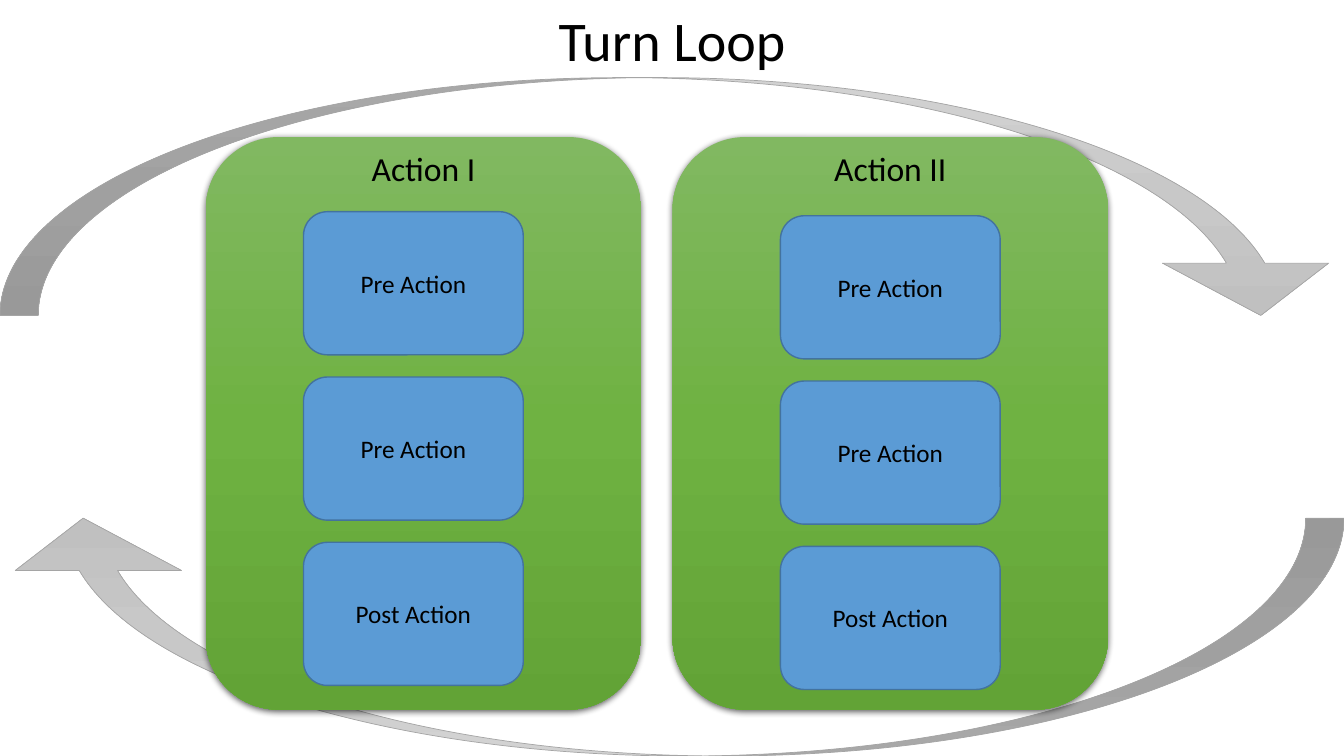
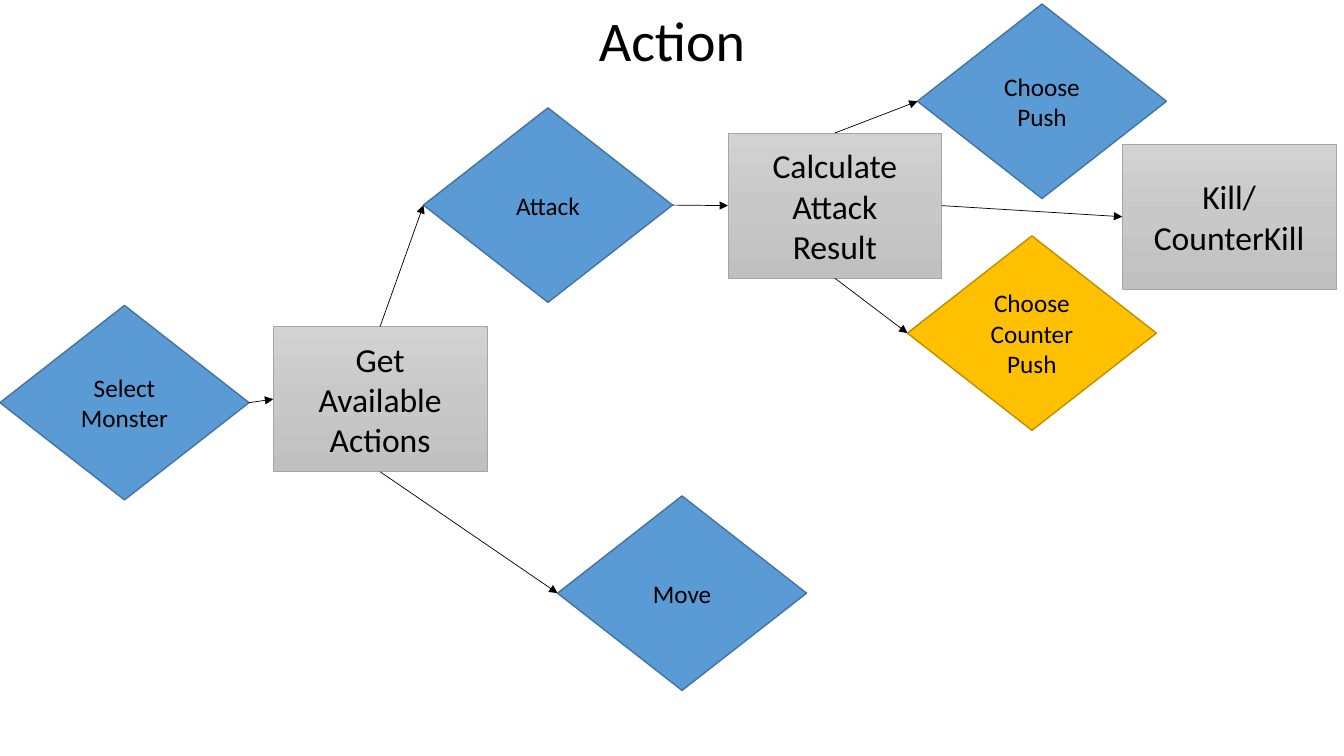
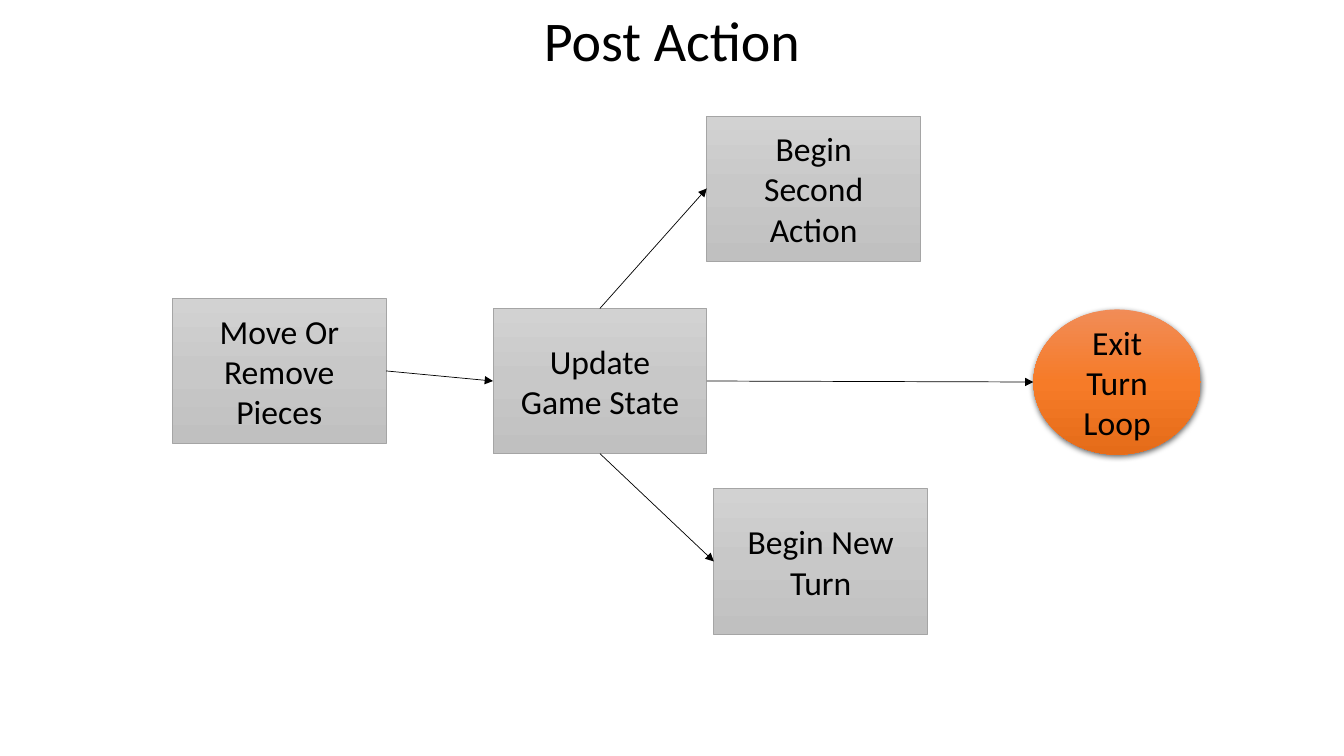
from copy import deepcopy
from dataclasses import dataclass
from typing import Optional

from lxml import etree
from pptx import Presentation
from pptx.dml.color import RGBColor
from pptx.enum import shapes as kinds, text as styles
from pptx.oxml.ns import qn
from pptx.util import Inches, Pt

# Shared look
FONT = "Calibri"
BLACK = RGBColor(0x00, 0x00, 0x00)
BLUE = RGBColor(0x5B, 0x9B, 0xD5)
NAVY = RGBColor(0x43, 0x73, 0x9E)
GOLD = RGBColor(0xFF, 0xC0, 0x00)
BROWN = RGBColor(0xBD, 0x8E, 0x00)
GREY = RGBColor(0xA5, 0xA5, 0xA5)
SILVER = (RGBColor(0xD2, 0xD2, 0xD2), RGBColor(0xC8, 0xC8, 0xC8), RGBColor(0xC0, 0xC0, 0xC0))
GREEN = (RGBColor(0x81, 0xB8, 0x61), RGBColor(0x6F, 0xB2, 0x42), RGBColor(0x62, 0xA3, 0x36))
ORANGE = (RGBColor(0xF1, 0x8C, 0x57), RGBColor(0xF6, 0x7B, 0x28), RGBColor(0xE5, 0x6C, 0x19))

FORM = kinds.MSO_SHAPE
WIDE, HIGH = 13.33, 7.5
TOP, BOTTOM, RIGHT = 0, 2, 3  # connection sites of boxes and diamonds


@dataclass(frozen=True)
class Look:
    form: FORM
    wide: float
    high: float
    fill: tuple
    edge: Optional[RGBColor] = None
    weight: float = 1
    size: int = 18
    inset: tuple = (0.1, 0.05)
    shade: bool = False
    left: int = 1  # connection site on the left side


@dataclass(frozen=True)
class Node:
    label: str
    x: float
    y: float
    look: Look


@dataclass(frozen=True)
class Link:
    start: str
    site: int
    goal: str


@dataclass(frozen=True)
class Panel:
    label: str
    x: float
    step_x: float
    step_y: float


ARC = Look(FORM.CURVED_DOWN_ARROW, WIDE, 2.36, SILVER, GREY, 0.5)
PANEL = Look(FORM.FLOWCHART_ALTERNATE_PROCESS, 4.32, 5.68, GREEN, shade=True)
STEP = Look(FORM.FLOWCHART_ALTERNATE_PROCESS, 2.18, 1.42, (BLUE,), NAVY)
TASK = Look(FORM.FLOWCHART_PROCESS, 2.12, 1.44, SILVER, GREY, 0.5, 24, (0.23, 0.11))
CHOICE = Look(FORM.FLOWCHART_DECISION, 2.47, 1.93, (BLUE,), NAVY)
COUNTER = Look(FORM.FLOWCHART_DECISION, 2.47, 1.93, (GOLD,), BROWN)
EXIT = Look(FORM.FLOWCHART_CONNECTOR, 1.66, 1.44, ORANGE, size=24, shade=True, left=2)


def write(frame, label: str, size: int, anchor) -> None:
    """Put centred black text in a frame."""
    frame.text = label
    frame.word_wrap = True
    frame.auto_size = styles.MSO_AUTO_SIZE.NONE
    frame.vertical_anchor = anchor
    for para in frame.paragraphs:
        para.alignment = styles.PP_ALIGN.CENTER
        for run in para.runs:
            run.font.name = FONT
            run.font.size = Pt(size)
            run.font.color.rgb = BLACK


def paint(shape, tones: tuple) -> None:
    """Fill with one tone, or with three running from top to bottom."""
    fill = shape.fill
    if len(tones) == 1:
        fill.solid()
        fill.fore_color.rgb = tones[0]
        return
    fill.gradient()
    fill.gradient_angle = 270
    stops = shape.element.spPr.find(".//" + qn("a:gsLst"))
    stops.insert(1, deepcopy(stops[0]))
    for stop, tone, place in zip(fill.gradient_stops, tones, (0, 0.5, 1)):
        stop.color.rgb = tone
        stop.position = place


def cast(shape) -> None:
    """Add a soft shadow below the shape."""
    effects = shape.element.spPr.find(qn("a:effectLst"))
    outer = etree.SubElement(effects, qn("a:outerShdw"), blurRad=str(Pt(4.5)),
                             dist=str(Pt(1.5)), dir="5400000", algn="ctr", rotWithShape="0")
    tone = etree.SubElement(outer, qn("a:srgbClr"), val=str(BLACK))
    etree.SubElement(tone, qn("a:alpha"), val="63000")


def draw(slide, node: Node):
    look = node.look
    shape = slide.shapes.add_shape(look.form, Inches(node.x), Inches(node.y),
                                   Inches(look.wide), Inches(look.high))
    shape.shadow.inherit = False
    paint(shape, look.fill)
    if look.edge is None:
        shape.line.fill.background()
    else:
        shape.line.color.rgb = look.edge
        shape.line.width = Pt(look.weight)
    if look.shade:
        cast(shape)
    if node.label:
        frame = shape.text_frame
        frame.margin_left = frame.margin_right = Inches(look.inset[0])
        frame.margin_top = frame.margin_bottom = Inches(look.inset[1])
        write(frame, node.label, look.size, styles.MSO_ANCHOR.MIDDLE)
    return shape


def join(slide, start, site: int, goal, entry: int) -> None:
    """Draw an arrow from a site of one shape to the left side of another."""
    line = slide.shapes.add_connector(kinds.MSO_CONNECTOR.STRAIGHT, 0, 0, 0, 0)
    line.begin_connect(start, site)
    line.end_connect(goal, entry)
    line.end_x, line.end_y = goal.left, goal.top + goal.height // 2
    line.line.color.rgb = BLACK
    line.line.width = Pt(0.5)
    etree.SubElement(line.line._get_or_add_ln(), qn("a:tailEnd"), type="triangle")
    etree.SubElement(line.element.spPr, qn("a:effectLst"))


def start_slide(deck, label: str):
    slide = deck.slides.add_slide(deck.slide_layouts[5])
    title = slide.shapes.title
    title.left = title.top = 0
    title.width, title.height = Inches(WIDE), Inches(0.77)
    write(title.text_frame, label, 40, styles.MSO_ANCHOR.TOP)
    return slide


def draw_flow(slide, nodes: tuple, links: tuple) -> None:
    made = {node.label: (draw(slide, node), node.look) for node in nodes}
    for link in links:
        goal, look = made[link.goal]
        join(slide, made[link.start][0], link.site, goal, look.left)


def draw_panel(slide, panel: Panel) -> None:
    top, pitch = 1.36, 1.64
    draw(slide, Node("", panel.x, top, PANEL))
    caption = slide.shapes.add_textbox(Inches(panel.x), Inches(top + 0.06),
                                       Inches(PANEL.wide), Inches(0.5))
    write(caption.text_frame, panel.label, 24, styles.MSO_ANCHOR.TOP)
    for row, label in enumerate(("Pre Action", "Pre Action", "Post Action")):
        draw(slide, Node(label, panel.step_x, panel.step_y + row * pitch, STEP))


def turn_loop(deck) -> None:
    slide = start_slide(deck, "Turn Loop")
    for y, turn in ((0.77, 0), (HIGH - ARC.high, 180)):
        arc = draw(slide, Node("", 0, y, ARC))
        arc.rotation = turn
        for spot, value in enumerate((0.161, 0.699, 0.22)):
            arc.adjustments[spot] = value
    for panel in (Panel("Action I", 2.04, 3.01, 2.1), Panel("Action II", 6.67, 7.74, 2.14)):
        draw_panel(slide, panel)


def action(deck) -> None:
    get, calc = "Get Available Actions", "Calculate Attack Result"
    nodes = (
        Node(get, 2.71, 3.24, TASK),
        Node(calc, 7.22, 1.32, TASK),
        Node("Select Monster", 0, 3.03, CHOICE),
        Node("Attack", 4.2, 1.07, CHOICE),
        Node("Move", 5.53, 4.92, CHOICE),
        Node("Kill/CounterKill", 11.13, 1.43, TASK),
        Node("Choose Push", 9.1, 0.04, CHOICE),
        Node("Choose Counter Push", 9, 2.34, COUNTER),
    )
    links = (
        Link("Select Monster", RIGHT, get),
        Link(get, TOP, "Attack"),
        Link(get, BOTTOM, "Move"),
        Link("Attack", RIGHT, calc),
        Link(calc, TOP, "Choose Push"),
        Link(calc, RIGHT, "Kill/CounterKill"),
        Link(calc, BOTTOM, "Choose Counter Push"),
    )
    draw_flow(start_slide(deck, "Action"), nodes, links)


def post_action(deck) -> None:
    move, state = "Move Or Remove Pieces", "Update Game State"
    nodes = (
        Node(move, 1.71, 2.96, TASK),
        Node("Begin Second Action", 7.01, 1.15, TASK),
        Node("Begin New Turn", 7.08, 4.85, TASK),
        Node(state, 4.89, 3.06, TASK),
        Node("Exit Turn Loop", 10.25, 3.07, EXIT),
    )
    links = (
        Link(move, RIGHT, state),
        Link(state, TOP, "Begin Second Action"),
        Link(state, BOTTOM, "Begin New Turn"),
        Link(state, RIGHT, "Exit Turn Loop"),
    )
    draw_flow(start_slide(deck, "Post Action"), nodes, links)


def main() -> None:
    deck = Presentation()
    deck.slide_width, deck.slide_height = Inches(WIDE), Inches(HIGH)
    for build in (turn_loop, action, post_action):
        build(deck)
    deck.save("out.pptx")


if __name__ == "__main__":
    main()
